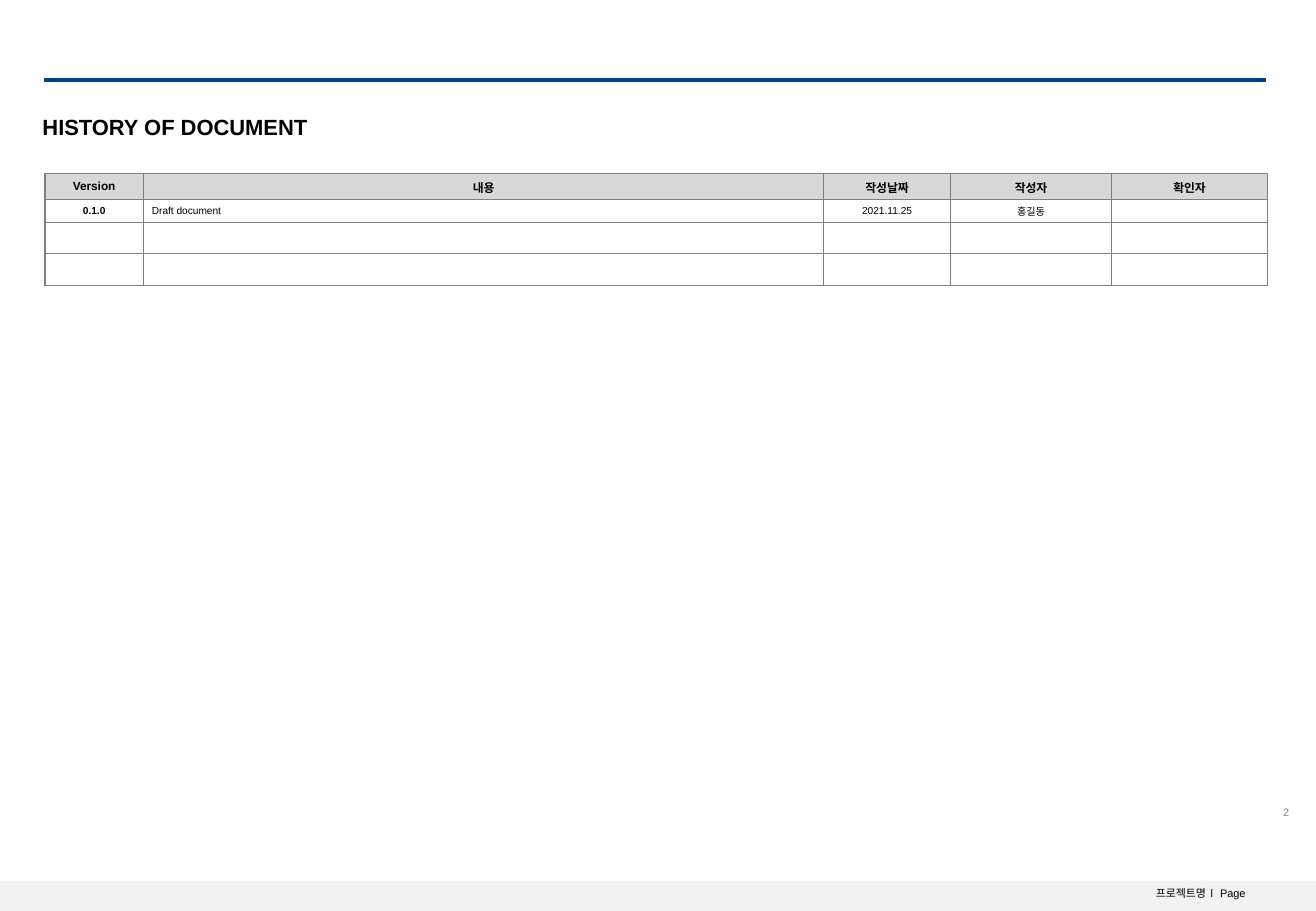
from lxml import etree
from pptx import Presentation
from pptx.dml.color import RGBColor
from pptx.enum.shapes import MSO_CONNECTOR, MSO_SHAPE
from pptx.enum.text import MSO_ANCHOR, PP_ALIGN
from pptx.oxml import parse_xml
from pptx.oxml.ns import nsdecls, qn
from pptx.util import Pt

LEFT, MID, RIGHT = PP_ALIGN.LEFT, PP_ALIGN.CENTER, PP_ALIGN.RIGHT
TOP, CENTER = MSO_ANCHOR.TOP, MSO_ANCHOR.MIDDLE
RECT, LINE = MSO_SHAPE.RECTANGLE, MSO_CONNECTOR.STRAIGHT

BLACK = RGBColor(0x00, 0x00, 0x00)
WHITE = RGBColor(0xFF, 0xFF, 0xFF)
BLUE = RGBColor(0x00, 0x45, 0x8A)
PALE = RGBColor(0xF2, 0xF2, 0xF2)
SILVER = RGBColor(0xD8, 0xD8, 0xD8)
GRAY = RGBColor(0x88, 0x88, 0x88)
EDGE = RGBColor(0x7F, 0x7F, 0x7F)

WIDE, HIGH = 1083, 750
COLS = [81, 560, 104, 133, 128]
ROWS = [21, 19, 26, 26]
CELLS = [
    ["Version", "내용", "작성날짜", "작성자", "확인자"],
    ["0.1.0", "Draft document", "2021.11.25", "홍길동", ""],
    [""] * 5,
    [""] * 5,
]


def px(n):
    """100 px to the inch."""
    return n * 9144


def style(para, size, color=BLACK, bold=False, align=LEFT):
    para.alignment = align
    font = para.font
    font.name, font.size, font.bold = "Arial", Pt(size), bold
    font.color.rgb = color


def pad(item, side):
    item.margin_left = item.margin_right = px(side)
    item.margin_top = item.margin_bottom = px(4)


def add_text(slide, box, parts, size, color=BLACK, bold=False,
             align=LEFT, anchor=CENTER):
    frame = slide.shapes.add_textbox(*map(px, box)).text_frame
    frame.word_wrap = True
    frame.vertical_anchor = anchor
    pad(frame, 8)
    para = frame.paragraphs[0]
    for part in parts:
        para.add_run().text = part
    style(para, size, color, bold, align)
    return para


def add_header(slide, box):
    x, y, w, h = box
    # Blue rule
    rule = slide.shapes.add_connector(LINE, px(x), px(y), px(x + w), px(y))
    rule.line.color.rgb = BLUE
    rule.line.width = Pt(2.25)
    etree.SubElement(rule._element.spPr, qn("a:effectLst"))
    # Title
    title = add_text(slide, (x - 9, y + 27, w, h - 27),
                     ["HISTORY OF DOCUMENT"], 13, bold=True)
    title.line_spacing = 0.9


def add_edges(cell):
    props = cell._tc.get_or_add_tcPr()
    for side in "LRTB":
        props.append(parse_xml(
            f'<a:ln{side} {nsdecls("a")} w="{Pt(0.75)}"><a:solidFill>'
            f'<a:srgbClr val="{EDGE}"/></a:solidFill></a:ln{side}>'))


def add_history(slide, box):
    table = slide.shapes.add_table(len(ROWS), len(COLS), *map(px, box)).table
    table.horz_banding = False
    for col, width in zip(table.columns, COLS):
        col.width = px(width)
    for r, (row, height) in enumerate(zip(table.rows, ROWS)):
        row.height = px(height)
        for c, cell in enumerate(row.cells):
            head = r == 0
            size = 7 if head else 6
            add_edges(cell)
            cell.fill.solid()
            cell.fill.fore_color.rgb = SILVER if head else WHITE
            cell.vertical_anchor = CENTER
            pad(cell, 7)
            cell.text = CELLS[r][c]
            para = cell.text_frame.paragraphs[0]
            style(para, size, bold=head or c == 0,
                  align=LEFT if c == 1 and not head else MID)
            # Keeps blank rows low
            if not CELLS[r][c]:
                para._p.get_or_add_endParaRPr().set("sz", str(size * 100))


def add_footer(slide, box):
    x, y, w, h = box
    # Band
    band = slide.shapes.add_shape(RECT, *map(px, box))
    band.shadow.inherit = False
    band.fill.solid()
    band.fill.fore_color.rgb = PALE
    band.line.fill.background()
    # Project name, with a loosely spaced divider
    name = add_text(slide, (x + w - 271, y + 1, 221, 19),
                    ["프로젝트명", " l ", "Page"], 6.5, align=RIGHT, anchor=TOP)
    name.runs[1].font._element.set("spc", "120")
    # Page number
    add_text(slide, (x + w - 71, y - 62, 57, 12), ["2"], 6.5, GRAY, align=RIGHT)


def main():
    deck = Presentation()
    deck.slide_width, deck.slide_height = px(WIDE), px(HIGH)
    slide = deck.slides.add_slide(deck.slide_layouts[6])
    add_footer(slide, (0, HIGH - 25, WIDE, 25))
    add_header(slide, (36, 66, 1006, 52))
    add_history(slide, (37, 143, sum(COLS), sum(ROWS)))
    deck.save("out.pptx")


if __name__ == "__main__":
    main()
